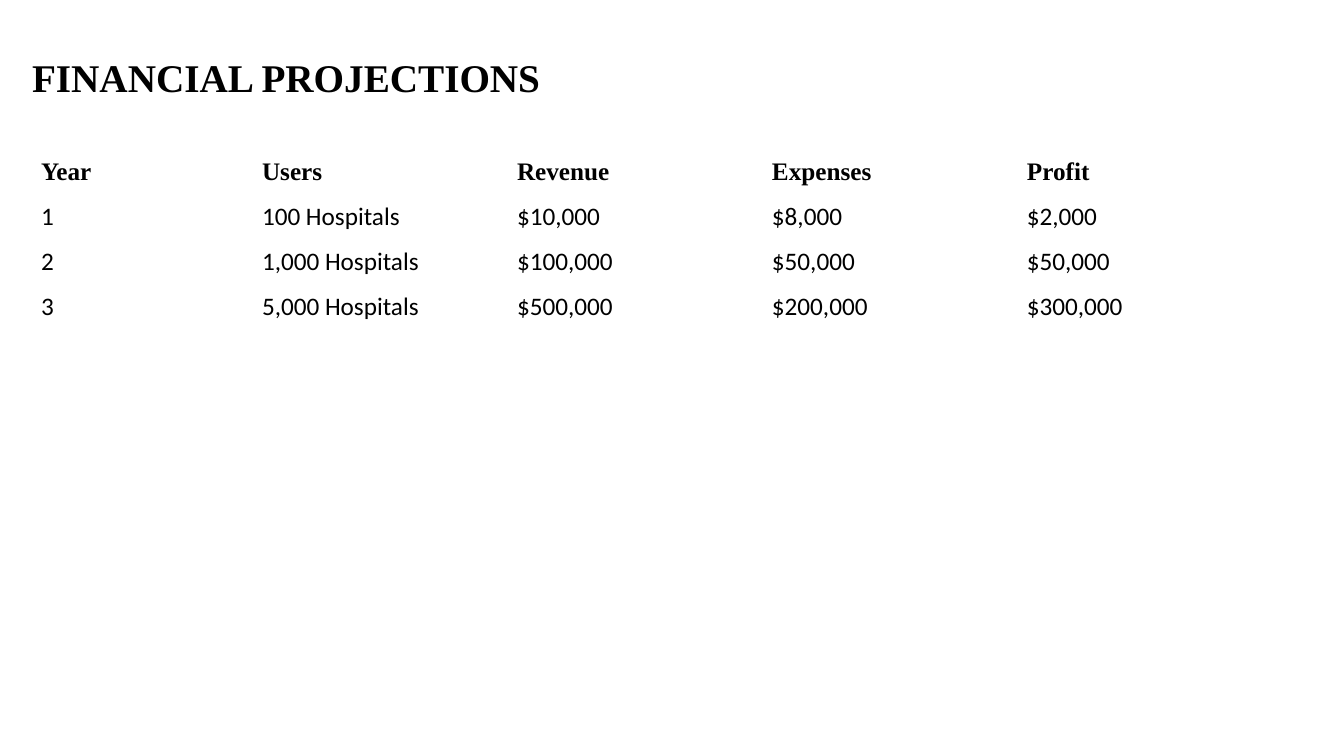
from pptx import Presentation
from pptx.dml.color import RGBColor
from pptx.enum.text import MSO_ANCHOR as Anchor, MSO_AUTO_SIZE as AutoSize, PP_ALIGN as Align
from pptx.util import Pt

EMU_PER_PX = 914400 / 100.8
COLORS = {"text": "000000", "background": "FFFFFF"}
HEADING_FONT = "Times New Roman"
BODY_FONT = "Calibri"
COLUMN_WIDTHS = [221] + [255] * 4
ROW_HEIGHT = 45
PROJECTIONS = [
    ["Year", "Users", "Revenue", "Expenses", "Profit"],
    ["1", "100 Hospitals", "$10,000", "$8,000", "$2,000"],
    ["2", "1,000 Hospitals", "$100,000", "$50,000", "$50,000"],
    ["3", "5,000 Hospitals", "$500,000", "$200,000", "$300,000"],
]


def px(length):
    return round(length * EMU_PER_PX)


def add_run(paragraph, text, size, font_name, bold):
    run = paragraph.add_run()
    run.text = text
    run.font.size = Pt(size)
    run.font.name = font_name
    run.font.bold = bold
    run.font.color.rgb = RGBColor.from_string(COLORS["text"])


def set_title(slide, text, left, top, width, height):
    title = slide.shapes.title
    title.left, title.top = px(left), px(top)
    title.width, title.height = px(width), px(height)
    frame = title.text_frame
    frame.word_wrap = True
    frame.auto_size = AutoSize.NONE
    frame.vertical_anchor = Anchor.MIDDLE
    paragraph = frame.paragraphs[0]
    paragraph.alignment = Align.LEFT
    paragraph.line_spacing = 0.9
    add_run(paragraph, text, 28, HEADING_FONT, True)


def add_projection_table(slide, rows, left, top):
    table = slide.shapes.add_table(
        len(rows), len(COLUMN_WIDTHS), px(left), px(top),
        px(sum(COLUMN_WIDTHS)), px(ROW_HEIGHT * len(rows)),
    ).table
    table.first_row = False
    table.horz_banding = False
    for column, width in zip(table.columns, COLUMN_WIDTHS):
        column.width = px(width)
    for row_index, values in enumerate(rows):
        table.rows[row_index].height = px(ROW_HEIGHT)
        is_header = row_index == 0
        font_name = HEADING_FONT if is_header else BODY_FONT
        for column_index, value in enumerate(values):
            cell = table.cell(row_index, column_index)
            cell.fill.background()
            cell.vertical_anchor = Anchor.MIDDLE
            add_run(cell.text_frame.paragraphs[0], value, 18, font_name, is_header)


def main():
    presentation = Presentation()
    presentation.slide_width = px(1344)
    presentation.slide_height = px(756)
    slide = presentation.slides.add_slide(presentation.slide_layouts[5])
    background = slide.background.fill
    background.solid()
    background.fore_color.rgb = RGBColor.from_string(COLORS["background"])
    set_title(slide, "FINANCIAL PROJECTIONS", 22, 40, 1277, 80)
    add_projection_table(slide, PROJECTIONS, 31, 149)
    presentation.save("out.pptx")


if __name__ == "__main__":
    main()
